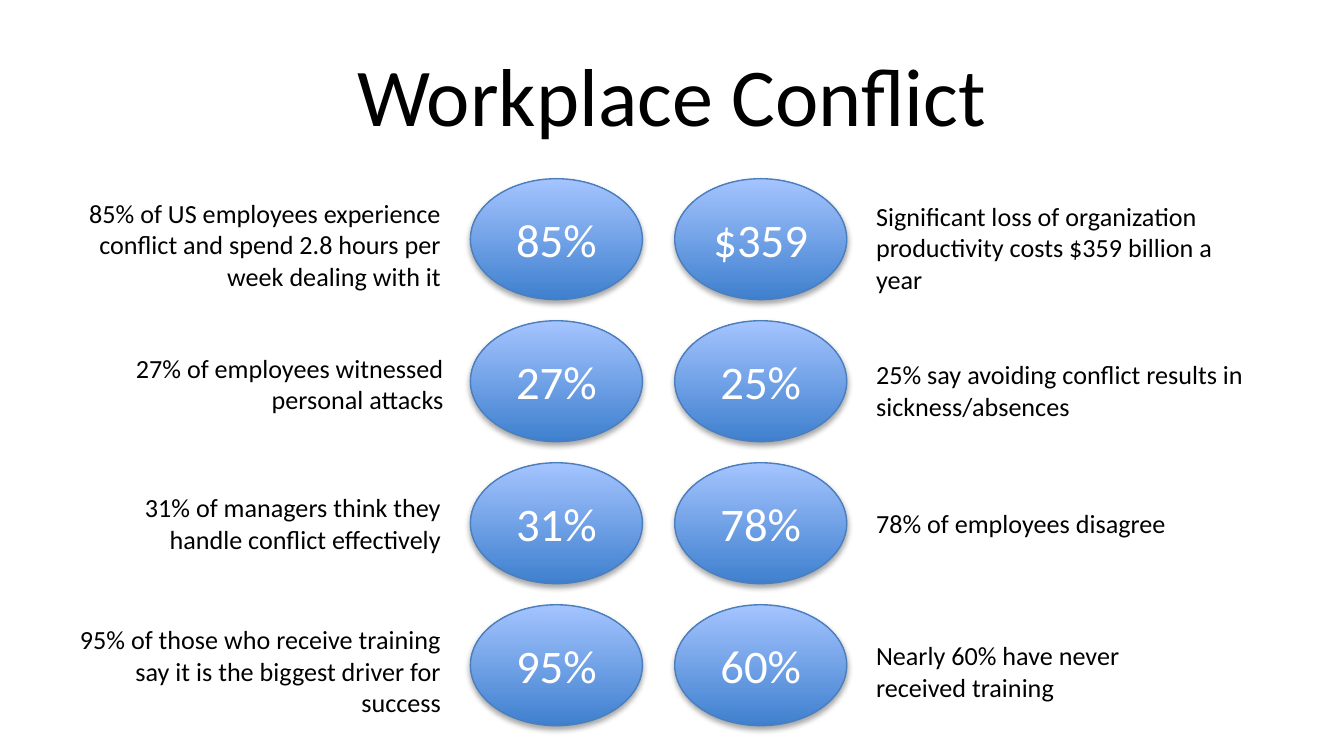
from pptx import Presentation
from pptx.dml.color import RGBColor
from pptx.enum.shapes import MSO_SHAPE
from pptx.enum.text import MSO_ANCHOR, MSO_AUTO_SIZE, PP_ALIGN
from pptx.oxml import parse_xml
from pptx.oxml.ns import nsdecls, qn
from pptx.util import Inches, Pt

BLACK = RGBColor(0x00, 0x00, 0x00)
WHITE = RGBColor(0xFF, 0xFF, 0xFF)
DEEP = RGBColor(0x3F, 0x80, 0xCE)
PALE = RGBColor(0xA4, 0xC4, 0xFF)
EDGE = RGBColor(0x4B, 0x7E, 0xBC)
FONT = "Calibri"

# Rows of ovals, evenly spread from first to last
TOP, LAST = 1.33, 4.5
PITCH = (LAST - TOP) / 3

# Each fact: figure, note, note left, top, width, height
LEFT = [
    ("85%", "85% of US employees experience conflict and spend 2.8 hours per "
     "week dealing with it", 0.44, 1.42, 2.94, 0.81),
    ("27%", "27% of employees witnessed personal attacks",
     0.46, 2.57, 2.94, 0.57),
    ("31%", "31% of managers think they handle conflict effectively",
     0.44, 3.61, 2.94, 0.57),
    ("95%", "95% of those who receive training say it is the biggest driver "
     "for success", 0.44, 4.59, 2.94, 0.81),
]
RIGHT = [
    ("$359", "Significant loss of organization productivity costs $359 "
     "billion a year", 6.42, 1.44, 2.94, 0.81),
    ("25%", "25% say avoiding conflict results in sickness/absences",
     6.42, 2.62, 2.94, 0.57),
    ("78%", "78% of employees disagree", 6.42, 3.73, 2.94, 0.34),
    ("60%", "Nearly 60% have never received training",
     6.42, 4.71, 2.17, 0.57),
]


def write(frame, text, size, color, align):
    para = frame.paragraphs[0]
    para.text = text
    para.alignment = align
    font = para.font
    font.name, font.size = FONT, Pt(size)
    font.color.rgb = color


def add_title(slide, text):
    title = slide.shapes.title
    title.left, title.top = Inches(0.5), Inches(0.23)
    title.width, title.height = Inches(9), Inches(0.94)
    title.text_frame.vertical_anchor = MSO_ANCHOR.MIDDLE
    write(title.text_frame, text, 44, BLACK, PP_ALIGN.CENTER)


def add_shadow(shape):
    shape.shadow.inherit = False
    effects = shape._element.spPr.find(qn("a:effectLst"))
    effects.append(parse_xml(
        f'<a:outerShdw {nsdecls("a")} blurRad="{Pt(3.1)}" dist="{Pt(1.8)}" '
        'dir="5400000" rotWithShape="0"><a:srgbClr val="000000">'
        '<a:alpha val="35000"/></a:srgbClr></a:outerShdw>'))


def add_oval(slide, text, left, top):
    oval = slide.shapes.add_shape(
        MSO_SHAPE.OVAL, Inches(left), Inches(top), Inches(1.28), Inches(0.9))
    # Dark at the foot, light at the top
    oval.fill.gradient()
    oval.fill.gradient_angle = 90
    for stop, color in zip(oval.fill.gradient_stops, (DEEP, PALE)):
        stop.color.rgb = color
    oval.line.color.rgb = EDGE
    oval.line.width = Pt(0.75)
    add_shadow(oval)
    frame = oval.text_frame
    frame.margin_left = frame.margin_right = 0
    frame.vertical_anchor = MSO_ANCHOR.MIDDLE
    write(frame, text, 25, WHITE, PP_ALIGN.CENTER)


def add_note(slide, text, align, *place):
    box = slide.shapes.add_textbox(*map(Inches, place))
    box.text_frame.word_wrap = True
    box.text_frame.auto_size = MSO_AUTO_SIZE.SHAPE_TO_FIT_TEXT
    write(box.text_frame, text, 14, BLACK, align)


def main():
    deck = Presentation()
    # Widescreen, 16 to 9
    deck.slide_width, deck.slide_height = Inches(10), Inches(10 * 9 / 16)
    slide = deck.slides.add_slide(deck.slide_layouts[5])
    add_title(slide, "Workplace Conflict")

    # Two columns of ovals, with notes on the outer sides
    for facts, left, align in ((LEFT, 3.5, PP_ALIGN.RIGHT),
                               (RIGHT, 5.02, PP_ALIGN.LEFT)):
        for row, (figure, note, *place) in enumerate(facts):
            add_oval(slide, figure, left, TOP + row * PITCH)
            add_note(slide, note, align, *place)

    deck.save("out.pptx")


if __name__ == "__main__":
    main()
